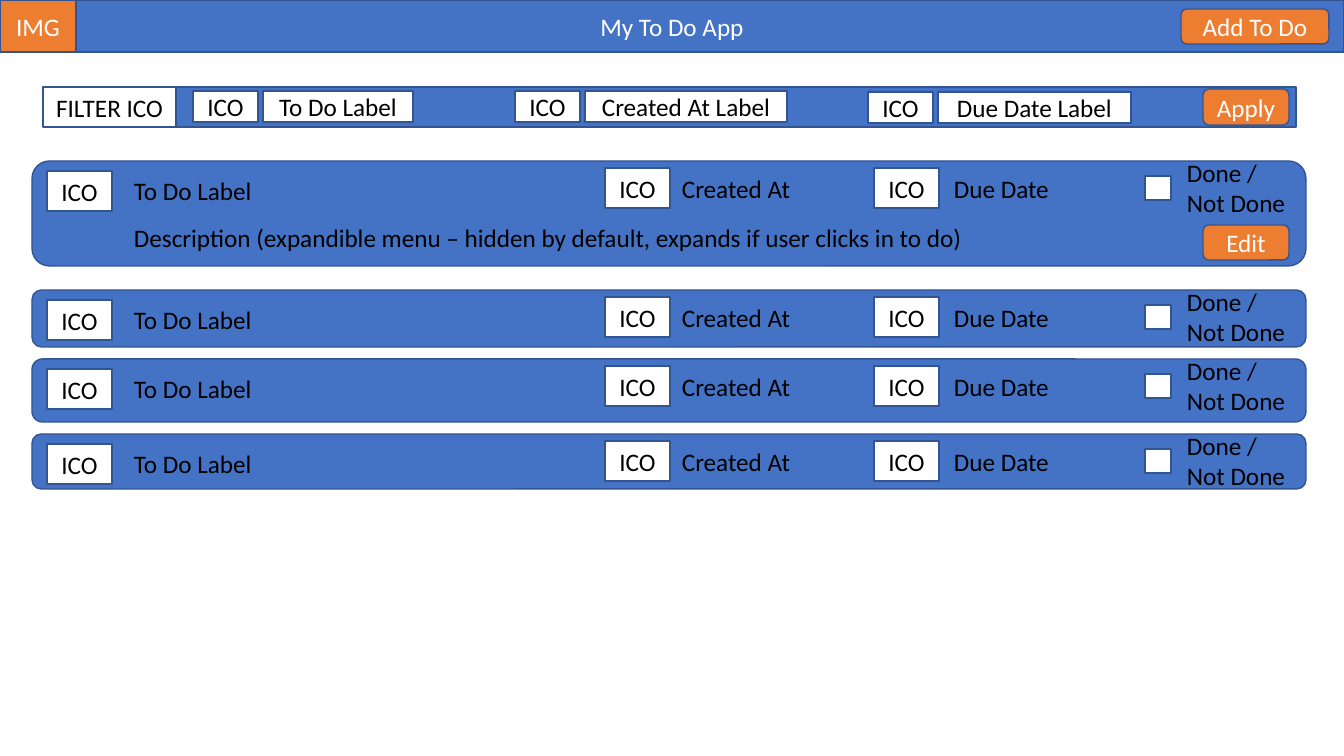
from pptx import Presentation, util as u
from pptx.dml.color import RGBColor
from pptx.enum import shapes, text

PX = 914400 / 100.8
BLUE, EDGE, ORANGE = "4472C4", "325491", "ED7D31"
WHITE, BLACK = "FFFFFF", "000000"
RECT = shapes.MSO_SHAPE.RECTANGLE
ROUND = shapes.MSO_SHAPE.ROUNDED_RECTANGLE


def px(*sizes):
    return [u.Emu(round(size * PX)) for size in sizes]


def tint(color, value):
    color.rgb = RGBColor.from_string(value)


def write(frame, words, color, align):
    frame.text = words
    for para in frame.paragraphs:
        para.alignment = align
        para.font.name = "Calibri"
        para.font.size = u.Pt(18)
        tint(para.font.color, color)


def box(slide, area, fill, words="", kind=RECT):
    shape = slide.shapes.add_shape(kind, *px(*area))
    shape.shadow.inherit = False
    shape.fill.solid()
    tint(shape.fill.fore_color, fill)
    tint(shape.line.color, EDGE)
    shape.line.width = u.Pt(1)
    if words:
        frame = shape.text_frame
        frame.vertical_anchor = text.MSO_ANCHOR.MIDDLE
        color = BLACK if fill == WHITE else WHITE
        write(frame, words, color, text.PP_ALIGN.CENTER)


def button(slide, area, words):
    box(slide, area, ORANGE, words, ROUND)


def label(slide, area, words):
    frame = slide.shapes.add_textbox(*px(*area)).text_frame
    frame.word_wrap = False
    frame.auto_size = text.MSO_AUTO_SIZE.SHAPE_TO_FIT_TEXT
    write(frame, words, BLACK, text.PP_ALIGN.LEFT)


def header(slide):
    box(slide, (0, 0, 1344, 52), BLUE, "My To Do App")
    box(slide, (0, 0, 76, 52), ORANGE, "IMG")
    button(slide, (1181, 9, 148, 35), "Add To Do")


def filters(slide):
    box(slide, (43, 87, 133, 40), WHITE, "FILTER ICO")
    box(slide, (176, 87, 1120, 40), BLUE)
    # Each filter: icon, then its label
    for left, top, width, words in (
        (193, 91, 150, "To Do Label"),
        (515, 91, 202, "Created At Label"),
        (868, 92, 193, "Due Date Label"),
    ):
        box(slide, (left, top, 65, 31), WHITE, "ICO")
        box(slide, (left + 70, top, width, 31), WHITE, words)
    button(slide, (1203, 89, 86, 36), "Apply")


def todo(slide, top, height):
    box(slide, (32, top, 1274, height), BLUE, kind=ROUND)
    # Title and dates
    label(slide, (124, top + 9, 140, 40), "To Do Label")
    label(slide, (672, top + 7, 130, 40), "Created At")
    label(slide, (944, top + 7, 117, 40), "Due Date")
    for left, drop in ((47, 10), (605, 7), (874, 7)):
        box(slide, (left, top + drop, 65, 40), WHITE, "ICO")
    # Status
    box(slide, (1145, top + 15, 26, 24), WHITE)
    label(slide, (1177, top - 9, 120, 71), "Done /\nNot Done")


def main():
    deck = Presentation()
    deck.slide_width, deck.slide_height = px(1344, 756)
    slide = deck.slides.add_slide(deck.slide_layouts[6])

    header(slide)
    filters(slide)
    for top, height in ((161, 105), (290, 57), (359, 63), (434, 55)):
        todo(slide, top, height)

    # Details of the expanded to do
    label(slide, (124, 217, 852, 40),
          "Description (expandible menu – hidden by default, "
          "expands if user clicks in to do)")
    button(slide, (1203, 225, 86, 35), "Edit")

    deck.save("out.pptx")


main()
